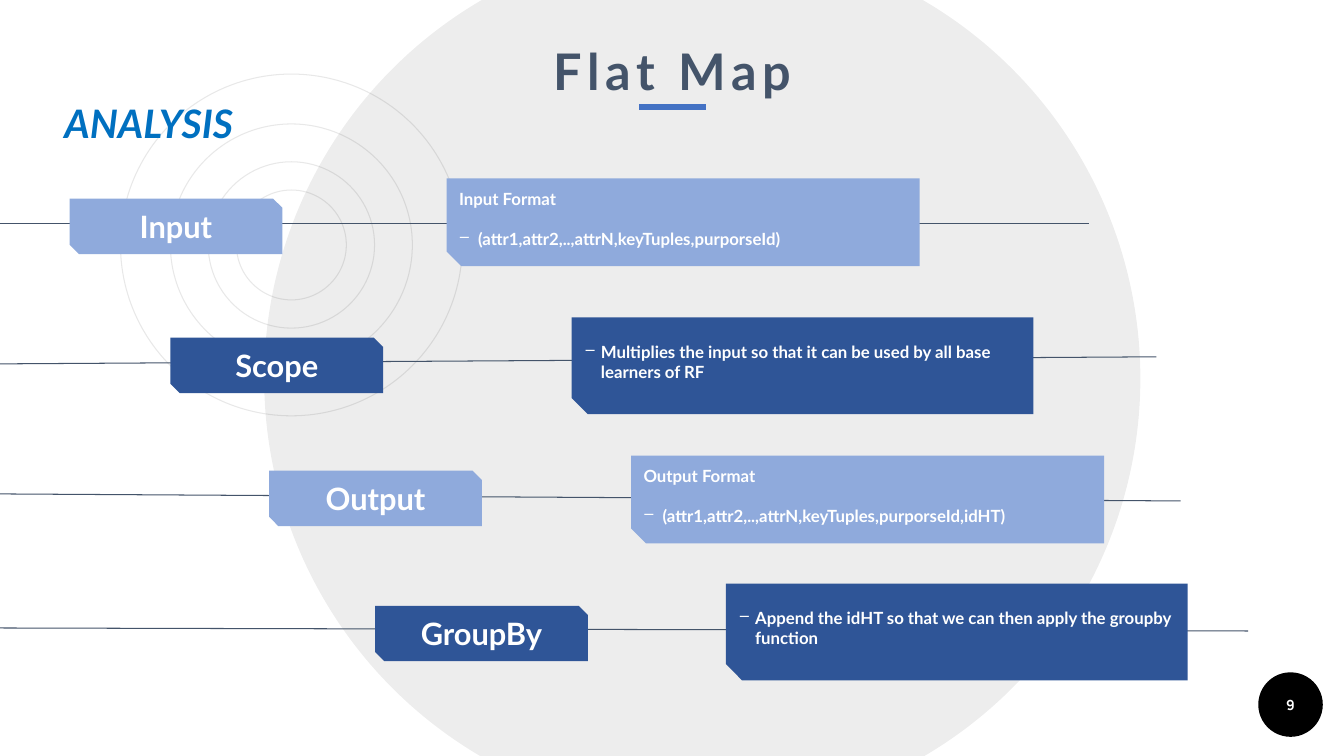
from lxml.etree import SubElement
from pptx import Presentation
from pptx.dml.color import RGBColor
from pptx.enum.shapes import MSO_CONNECTOR, MSO_SHAPE
from pptx.enum.text import MSO_ANCHOR, PP_ALIGN
from pptx.oxml.ns import qn
from pptx.util import Inches, Pt

COLORS = {
    "white": "FFFFFF", "black": "000000", "ring": "E8E8E8", "slate": "44546A",
    "accent": "4472C4", "heading": "0070C0", "light": "8FAADC", "dark": "2F5597",
}
SNIP = 0.167


def rgb(name):
    return RGBColor.from_string(COLORS[name])


def finish(shape, fill=None, line=None):
    shape.shadow.inherit = False
    if fill:
        shape.fill.solid()
        shape.fill.fore_color.rgb = rgb(fill)
    else:
        shape.fill.background()
    if line:
        shape.line.color.rgb = rgb(line)
        shape.line.width = Pt(0.75)
    else:
        shape.line.fill.background()
    return shape


def add_preset(slide, kind, left, top, width, height, fill=None, line=None):
    shape = slide.shapes.add_shape(
        kind, Inches(left), Inches(top), Inches(width), Inches(height))
    return finish(shape, fill, line)


def add_line(slide, start, end, color, width):
    line = slide.shapes.add_connector(
        MSO_CONNECTOR.STRAIGHT, *(Inches(value) for value in (*start, *end)))
    line.line.color.rgb = rgb(color)
    line.line.width = Pt(width)
    SubElement(line._element.spPr, qn("a:effectLst"))


def set_insets(frame, left, top, right, bottom):
    frame.margin_left, frame.margin_top = Inches(left), Inches(top)
    frame.margin_right, frame.margin_bottom = Inches(right), Inches(bottom)


def add_dash(paragraph, indent):
    properties = paragraph._p.get_or_add_pPr()
    properties.set("marL", str(Inches(indent)))
    properties.set("indent", str(-Inches(indent)))
    bullet_color = SubElement(properties, qn("a:buClr"))
    SubElement(bullet_color, qn("a:srgbClr"), val=COLORS["white"])
    SubElement(properties, qn("a:buChar"), char="‒")


def style(paragraph, size, color="white", align=PP_ALIGN.LEFT, font="Lato"):
    paragraph.alignment = align
    paragraph.font.name = font
    paragraph.font.size = Pt(size)
    paragraph.font.bold = True
    paragraph.font.color.rgb = rgb(color)


def write_centred(shape, text, size, font="Lato"):
    frame = shape.text_frame
    frame.vertical_anchor = MSO_ANCHOR.MIDDLE
    paragraph = frame.paragraphs[0]
    paragraph.text = text
    style(paragraph, size, align=PP_ALIGN.CENTER, font=font)


def add_background(slide, center_x, center_y):
    # Concentric rings under a large translucent disc
    for diameter in (3.39, 2.4, 1.65, 1.09):
        add_preset(slide, MSO_SHAPE.OVAL, center_x - diameter / 2,
                   center_y - diameter / 2, diameter, diameter, line="ring")
    disc = add_preset(slide, MSO_SHAPE.OVAL, 2.62, -0.59, 8.69, 8.69, fill="black")
    fill_color = disc._element.spPr.find(qn("a:solidFill"))[0]
    SubElement(fill_color, qn("a:alpha"), val="7000")


def add_page_number(slide, left, top, size):
    badge = add_preset(slide, MSO_SHAPE.OVAL, left, top, size, size, fill="black")
    set_insets(badge.text_frame, 0, 0, 0, 0)
    write_centred(badge, "9", 10, "Manrope")


def add_title(slide, left, top, width, height):
    # Title with a short centred rule beneath it
    middle, bottom = left + width / 2, top + height
    add_line(slide, (middle - 0.33, bottom), (middle + 0.33, bottom), "accent", 4.5)
    box = slide.shapes.add_textbox(
        Inches(left), Inches(top), Inches(width), Inches(height))
    paragraph = box.text_frame.paragraphs[0]
    run = paragraph.add_run()
    run.text = "Flat Map"
    run._r.get_or_add_rPr().set("spc", "400")
    style(paragraph, 36, "slate", PP_ALIGN.CENTER)


def add_heading(slide, left, top, width, height):
    box = slide.shapes.add_textbox(
        Inches(left), Inches(top), Inches(width), Inches(height))
    box.text_frame.vertical_anchor = MSO_ANCHOR.MIDDLE
    paragraph = box.text_frame.paragraphs[0]
    paragraph.text = "ANALYSIS"
    style(paragraph, 28, "heading")
    paragraph.font.italic = True


def add_card(slide, left, top, width, height, color, title, detail):
    # Rectangle with its lower left corner cut off
    cut = SNIP * height
    right, bottom = left + width, top + height
    corners = [(right, top), (right, bottom), (left + cut, bottom),
               (left, bottom - cut)]
    builder = slide.shapes.build_freeform(Inches(left), Inches(top), scale=1.0)
    builder.add_line_segments([(Inches(x), Inches(y)) for x, y in corners])
    card = finish(builder.convert_to_shape(), color)

    frame = card.text_frame
    frame.word_wrap = True
    frame.vertical_anchor = MSO_ANCHOR.MIDDLE
    set_insets(frame, 0.05 + cut / 2, 0.05, 0.05, 0.05 + cut / 2)
    paragraph = frame.paragraphs[0]
    if title:
        paragraph.text = title
        style(paragraph, 12)
        paragraph = frame.add_paragraph()
        paragraph.space_before = Pt(14.4)
    paragraph.text = detail
    add_dash(paragraph, 0.19 if title else 0.16)
    style(paragraph, 12)


def add_step(slide, step):
    # Guide line, label and description of one step
    label, color, start, end, tag, card, title, detail = step
    add_line(slide, start, end, "slate", 0.75)
    shape = add_preset(slide, MSO_SHAPE.SNIP_2_DIAG_RECTANGLE, *tag, 2.11, 0.55, color)
    write_centred(shape, label, 22)
    size = (4.69, 0.87) if title else (4.58, 0.96)
    add_card(slide, *card, *size, color, title, detail)


STEPS = [
    ("Input", "light", (10.8, 2.22), (0, 2.22), (0.69, 1.97), (4.43, 1.77),
     "Input Format", "(attr1,attr2,..,attrN,keyTuples,purporseId)"),
    ("Scope", "dark", (11.47, 3.54), (0, 3.61), (1.69, 3.35), (5.67, 3.15),
     None, "Multiplies the input so that it can be used by all base learners of RF"),
    ("Output", "light", (11.71, 4.97), (0, 4.9), (2.67, 4.67), (6.26, 4.52),
     "Output Format", "(attr1,attr2,..,attrN,keyTuples,purporseId,idHT)"),
    ("GroupBy", "dark", (12.38, 6.26), (0, 6.23), (3.72, 6.01), (7.2, 5.79),
     None, "Append the idHT so that we can then apply the groupby function"),
]


def main():
    presentation = Presentation()
    presentation.slide_width = Inches(13.33)
    presentation.slide_height = Inches(7.5)
    slide = presentation.slides.add_slide(presentation.slide_layouts[6])
    add_background(slide, 2.89, 2.43)
    add_page_number(slide, 12.48, 6.67, 0.64)
    add_title(slide, 5.27, 0.35, 2.8, 0.71)
    for step in STEPS:
        add_step(slide, step)
    add_heading(slide, 0.54, 0.93, 2.02, 0.57)
    presentation.save("out.pptx")


if __name__ == "__main__":
    main()
